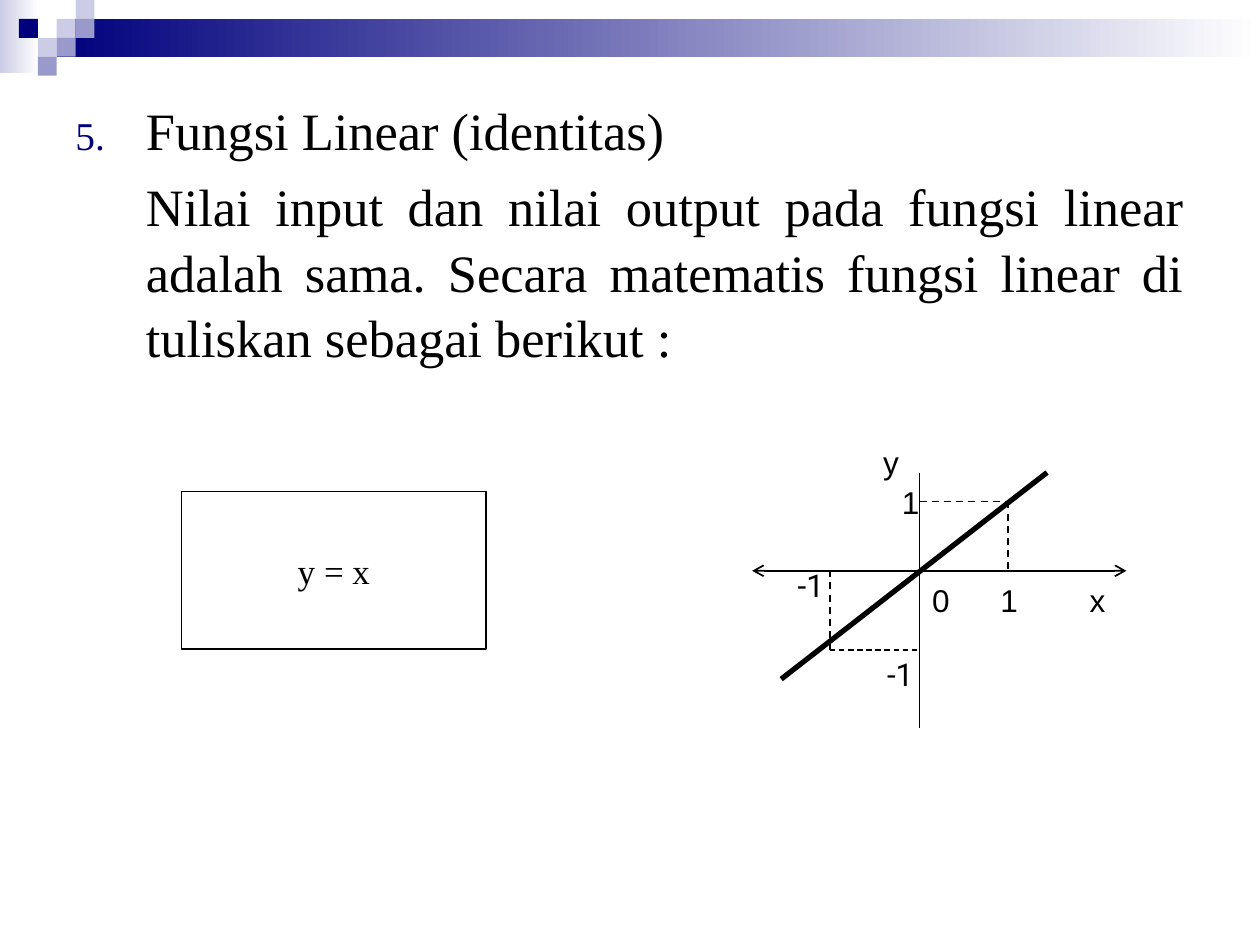
import pptx
import pptx.util
import pptx.dml.color
import pptx.enum.dml
import pptx.enum.shapes
import pptx.enum.text
import pptx.oxml
import pptx.oxml.ns

Inches, Pt = pptx.util.Inches, pptx.util.Pt
ALIGN = pptx.enum.text.PP_ALIGN
ANCHOR = pptx.enum.text.MSO_ANCHOR
THEME = {
    "navy": "00007D", "mid": "9999CC", "pale": "CCCCE6", "white": "FFFFFF", "ink": "000000",
    "serif": "Times New Roman", "sans": "Arial", "minus": "Roboto",
    "body": 30, "formula": 20, "label": 18,
}

HEADING = "Fungsi Linear (identitas)"
HEADING_NUMBER = 5
BODY = ("Nilai input dan nilai output pada fungsi linear adalah sama. "
        "Secara matematis fungsi linear di tuliskan sebagai berikut :")
FORMULA = "y = x"

# left, top, width, height, start colour
BANDS = [(0, 0, 0.31, 0.58, "pale"), (0.45, 0.15, 9.55, 0.3, "navy")]
# column, row, colour on the corner grid
TILE = 0.15
TILES = [(3, 1, "pale"), (4, 0, "pale"), (4, 1, "mid"), (2, 2, "pale"),
         (1, 1, "navy"), (3, 2, "mid"), (2, 3, "mid")]

# Graph: origin and the positions of -1 and 1 on each axis
X0, Y0 = 7.3, 4.53
X_NEG, X_POS = 6.59, 8
Y_NEG, Y_POS = 5.16, 3.98
# from, to, width, dashed, arrows
LINES = [
    ((X0, 3.75), (X0, 5.78), 0.75, False, False),
    ((5.97, Y0), (8.94, Y0), 1, False, True),
    ((8.31, 3.75), (6.2, 5.39), 3, False, False),
    ((X0, Y_POS), (X_POS, Y_POS), 1, True, False),
    ((X_POS, Y_POS), (X_POS, Y0), 1, True, False),
    ((X_NEG, Y_NEG), (X0, Y_NEG), 0.75, True, False),
    ((X_NEG, Y_NEG), (X_NEG, Y0), 1, True, False),
]
DIGIT, NEGATIVE = (0.31, 0.31, "sans"), (0.47, 0.23, "minus")
# text, left, top, style
LABELS = [
    ("1", 7.06, 3.83, DIGIT), ("0", 7.3, 4.61, DIGIT), ("x", 8.55, 4.61, DIGIT),
    ("y", 6.91, 3.51, DIGIT), ("1", 7.84, 4.61, DIGIT),
    ("-1", 6.91, 5.23, NEGATIVE), ("-1", 6.2, 4.53, NEGATIVE),
]


def color(name):
    return pptx.dml.color.RGBColor.from_string(THEME[name])


def add_xml(parent, tag, **attrs):
    el = pptx.oxml.parse_xml(f"<a:{tag} {pptx.oxml.ns.nsdecls('a')}/>")
    for key, value in attrs.items():
        el.set(key, str(value))
    parent.append(el)
    return el


def add_rect(slide, left, top, width, height, fill):
    sp = slide.shapes.add_shape(pptx.enum.shapes.MSO_SHAPE.RECTANGLE,
                                *map(Inches, (left, top, width, height)))
    sp.shadow.inherit = False
    sp.fill.solid()
    sp.fill.fore_color.rgb = color(fill)
    sp.line.fill.background()
    return sp


def add_band(slide, left, top, width, height, start):
    sp = add_rect(slide, left, top, width, height, start)
    sp.fill.gradient()
    sp.fill.gradient_angle = 0
    for stop, name in zip(sp.fill.gradient_stops, (start, "white")):
        stop.color.rgb = color(name)


def write(p, text, font, size):
    r = p.add_run()
    r.text = text
    values = {"name": THEME[font], "size": Pt(THEME[size])}
    for key, value in values.items():
        setattr(r.font, key, value)
    r.font.color.rgb = color("ink")


def write_centred(tf, text, font, size):
    tf.vertical_anchor = ANCHOR.MIDDLE
    p = tf.paragraphs[0]
    p.alignment = ALIGN.CENTER
    write(p, text, font, size)


def add_body(slide):
    tf = slide.shapes.add_textbox(*map(Inches, (0.5, 0.68, 9, 2.4))).text_frame
    tf.word_wrap = True
    tf.margin_top = Inches(0.08)
    heading, body = tf.paragraphs[0], tf.add_paragraph()
    for p, indent in ((heading, -0.56), (body, 0)):
        p.line_spacing = 1.04
        ppr = p._p.get_or_add_pPr()
        ppr.set("marL", str(Inches(0.56)))
        ppr.set("indent", str(Inches(indent)))
    body.space_before = Pt(6)
    body.alignment = ALIGN.JUSTIFY

    ppr = heading._p.get_or_add_pPr()
    add_xml(add_xml(ppr, "buClr"), "srgbClr", val=THEME["navy"])
    add_xml(ppr, "buSzPct", val=75000)
    add_xml(ppr, "buFont", typeface=THEME["serif"])
    add_xml(ppr, "buAutoNum", type="arabicPeriod", startAt=HEADING_NUMBER)
    write(heading, HEADING, "serif", "body")
    write(body, BODY, "serif", "body")


def add_line(slide, start, end, width, dashed, arrows):
    cx = slide.shapes.add_connector(pptx.enum.shapes.MSO_CONNECTOR.STRAIGHT,
                                    *map(Inches, start + end))
    cx.line.color.rgb = color("ink")
    cx.line.width = Pt(width)
    if dashed:
        cx.line.dash_style = pptx.enum.dml.MSO_LINE.DASH
    if arrows:
        ln = cx.line._get_or_add_ln()
        for tag in ("headEnd", "tailEnd"):
            add_xml(ln, tag, type="arrow")
    add_xml(cx._element.spPr, "effectLst")


def add_label(slide, text, left, top, style):
    width, height, font = style
    tf = slide.shapes.add_textbox(*map(Inches, (left, top, width, height))).text_frame
    tf.word_wrap = False
    write_centred(tf, text, font, "label")


def main():
    prs = pptx.Presentation()
    prs.slide_width, prs.slide_height = Inches(10), Inches(7.5)
    slide = prs.slides.add_slide(prs.slide_layouts[6])

    for band in BANDS:
        add_band(slide, *band)
    for col, row, fill in TILES:
        add_rect(slide, col * TILE, row * TILE, TILE, TILE, fill)

    add_body(slide)

    box = add_rect(slide, 1.44, 3.9, 2.42, 1.25, "white")
    box.line.color.rgb = color("ink")
    box.line.width = Pt(1)
    write_centred(box.text_frame, FORMULA, "serif", "formula")

    for line in LINES:
        add_line(slide, *line)
    for label in LABELS:
        add_label(slide, *label)

    prs.save("out.pptx")


if __name__ == "__main__":
    main()
